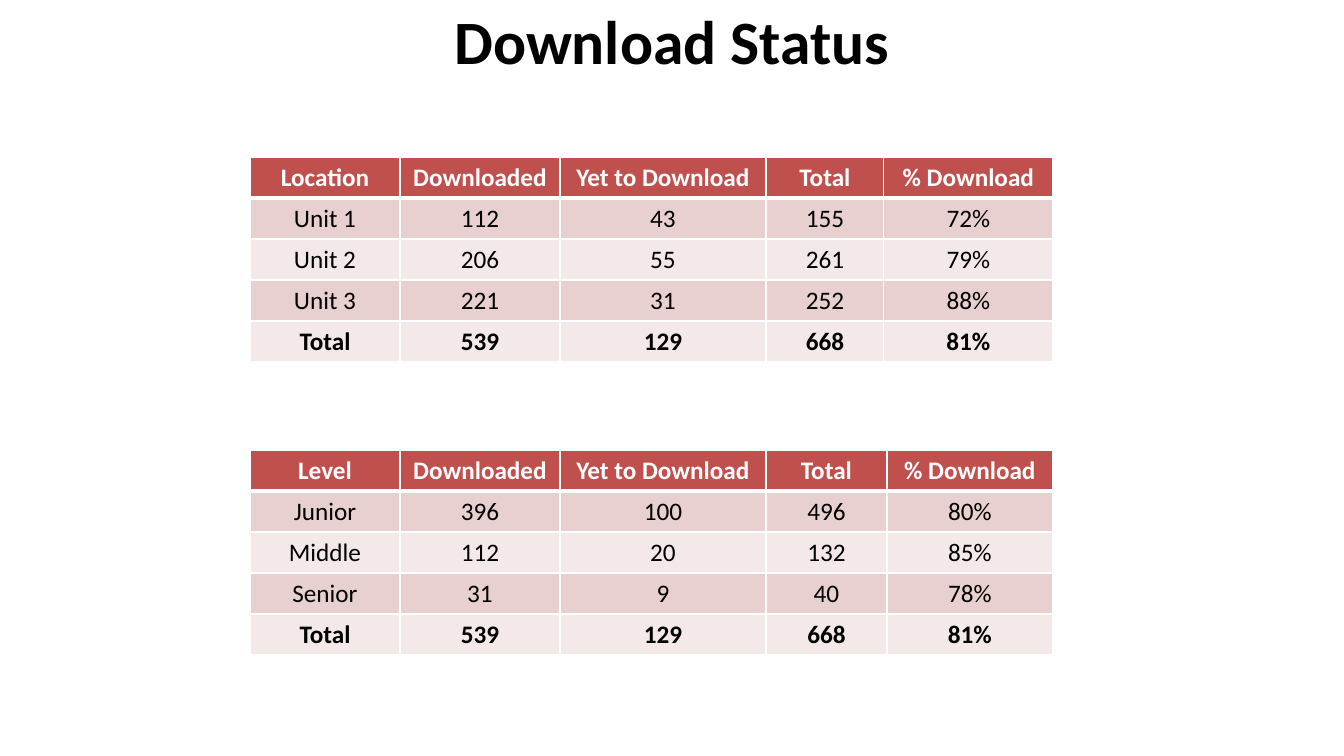
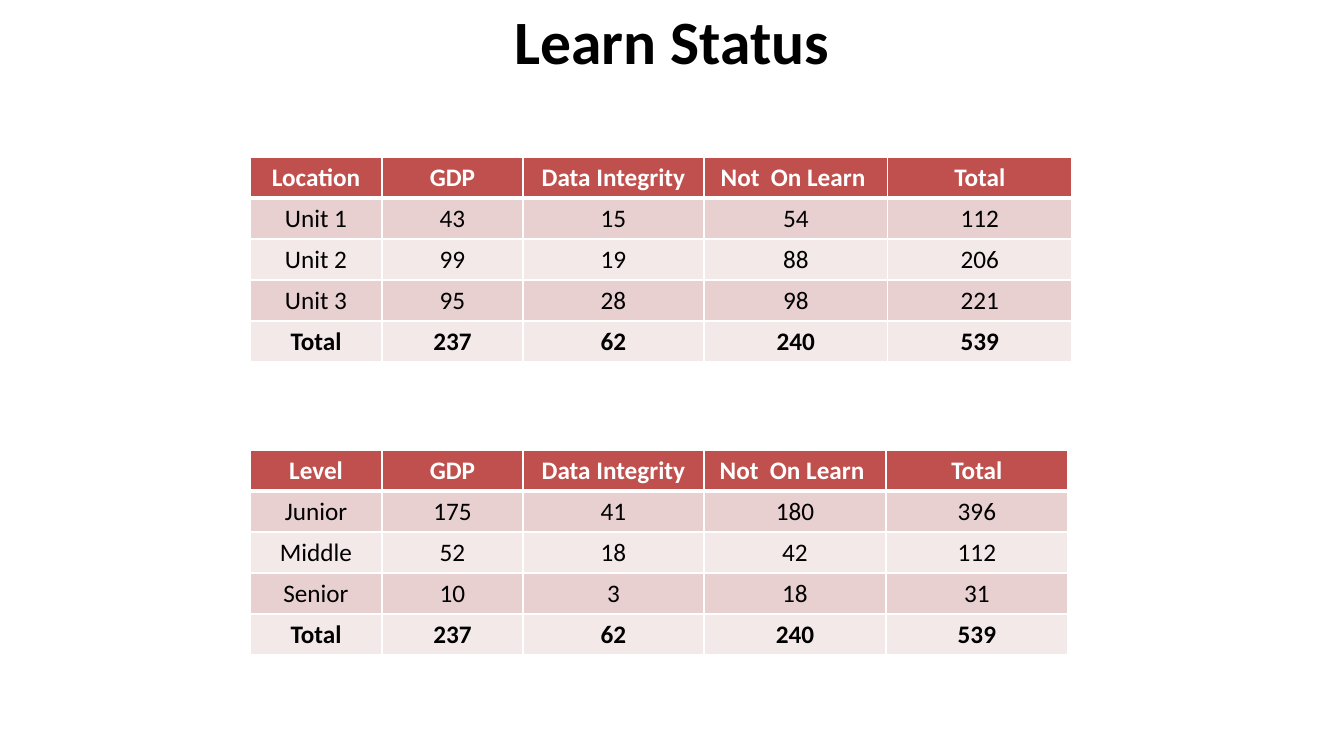
import pptx
import pptx.util
import pptx.dml.color
import pptx.enum.text
from lxml import etree
from pptx.oxml.ns import qn

LOCATIONS = ["Unit 1", "Unit 2", "Unit 3", "Total"]
LEVELS = ["Junior", "Middle", "Senior", "Total"]
DOWNLOAD_HEADS = ["Downloaded", "Yet to Download", "Total", "% Download"]
LEARN_HEADS = ["GDP", "Data Integrity", "Not  On Learn ", "Total"]

# Each table: corner heading, row labels, column widths in px, values
SLIDES = [
    ("Download Status", DOWNLOAD_HEADS, [
        ("Location", LOCATIONS, [150, 160, 206, 118, 169], [
            (112, 43, 155, "72%"),
            (206, 55, 261, "79%"),
            (221, 31, 252, "88%"),
            (539, 129, 668, "81%")]),
        ("Level", LEVELS, [150, 160, 206, 121, 166], [
            (396, 100, 496, "80%"),
            (112, 20, 132, "85%"),
            (31, 9, 40, "78%"),
            (539, 129, 668, "81%")]),
    ]),
    ("Learn Status", LEARN_HEADS, [
        ("Location", LOCATIONS, [132, 141, 181, 184, 184], [
            (43, 15, 54, 112),
            (99, 19, 88, 206),
            (95, 28, 98, 221),
            (237, 62, 240, 539)]),
        ("Level", LEVELS, [132, 141, 181, 182, 182], [
            (175, 41, 180, 396),
            (52, 18, 42, 112),
            (10, 3, 18, 31),
            (237, 62, 240, 539)]),
    ]),
]

FONT = "Calibri"
BLACK, WHITE = "000000", "FFFFFF"
HEAD_FILL = "C0504D"
BAND_FILLS = ["F4E9E9", "E8D0D0"]

SLIDE_W, SLIDE_H = 1344, 756
TITLE_H = 89
TABLE_LEFT, ROW_H = 250, 41
TABLE_TOPS = [157, 450]


def px(n):
    return pptx.util.Emu(round(n * 12192000 / SLIDE_W))


def rgb(color):
    return pptx.dml.color.RGBColor.from_string(color)


def style(p, size, color, bold):
    p.alignment = pptx.enum.text.PP_ALIGN.CENTER
    p.font.name = FONT
    p.font.size = pptx.util.Pt(size)
    p.font.bold = bold
    p.font.color.rgb = rgb(color)


def add_title(s, text):
    tf = s.shapes.add_textbox(0, 0, px(SLIDE_W), px(TITLE_H)).text_frame
    tf.word_wrap = True
    tf.vertical_anchor = pptx.enum.text.MSO_ANCHOR.MIDDLE
    p = tf.paragraphs[0]
    p.text = text
    p.line_spacing = 0.9
    p.space_after = pptx.util.Pt(6)
    style(p, 44, BLACK, True)


def set_borders(cell, bottom):
    """White borders, 1 pt except for the given bottom width."""
    tc_pr = cell._tc.get_or_add_tcPr()
    for side, width in (("L", 1), ("R", 1), ("T", 1), ("B", bottom)):
        ln = etree.SubElement(tc_pr, qn("a:ln" + side), w=str(pptx.util.Pt(width)))
        fill = etree.SubElement(ln, qn("a:solidFill"))
        etree.SubElement(fill, qn("a:srgbClr"), val=WHITE)


def add_status_table(s, top, rows, widths):
    frame = s.shapes.add_table(len(rows), len(widths), px(TABLE_LEFT), px(top),
                               px(sum(widths)), px(ROW_H * len(rows)))
    table = frame.table
    table.horz_banding = False
    for column, width in zip(table.columns, widths):
        column.width = px(width)
    for i, values in enumerate(rows):
        table.rows[i].height = px(ROW_H)
        head = i == 0
        bold = head or i == len(rows) - 1
        # The heading's bottom edge is also the top edge of the first row
        for j, value in enumerate(values):
            cell = table.cell(i, j)
            set_borders(cell, 3 if head else 1)
            cell.fill.solid()
            cell.fill.fore_color.rgb = rgb(HEAD_FILL if head else BAND_FILLS[i % 2])
            p = cell.text_frame.paragraphs[0]
            p.text = str(value)
            style(p, 18, WHITE if head else BLACK, bold)


def main():
    prs = pptx.Presentation()
    prs.slide_width, prs.slide_height = px(SLIDE_W), px(SLIDE_H)
    for title, heads, tables in SLIDES:
        s = prs.slides.add_slide(prs.slide_layouts[6])
        add_title(s, title)
        for top, (corner, labels, widths, values) in zip(TABLE_TOPS, tables):
            body = [[label, *row] for label, row in zip(labels, values)]
            add_status_table(s, top, [[corner, *heads]] + body, widths)
    prs.save("out.pptx")


if __name__ == "__main__":
    main()
